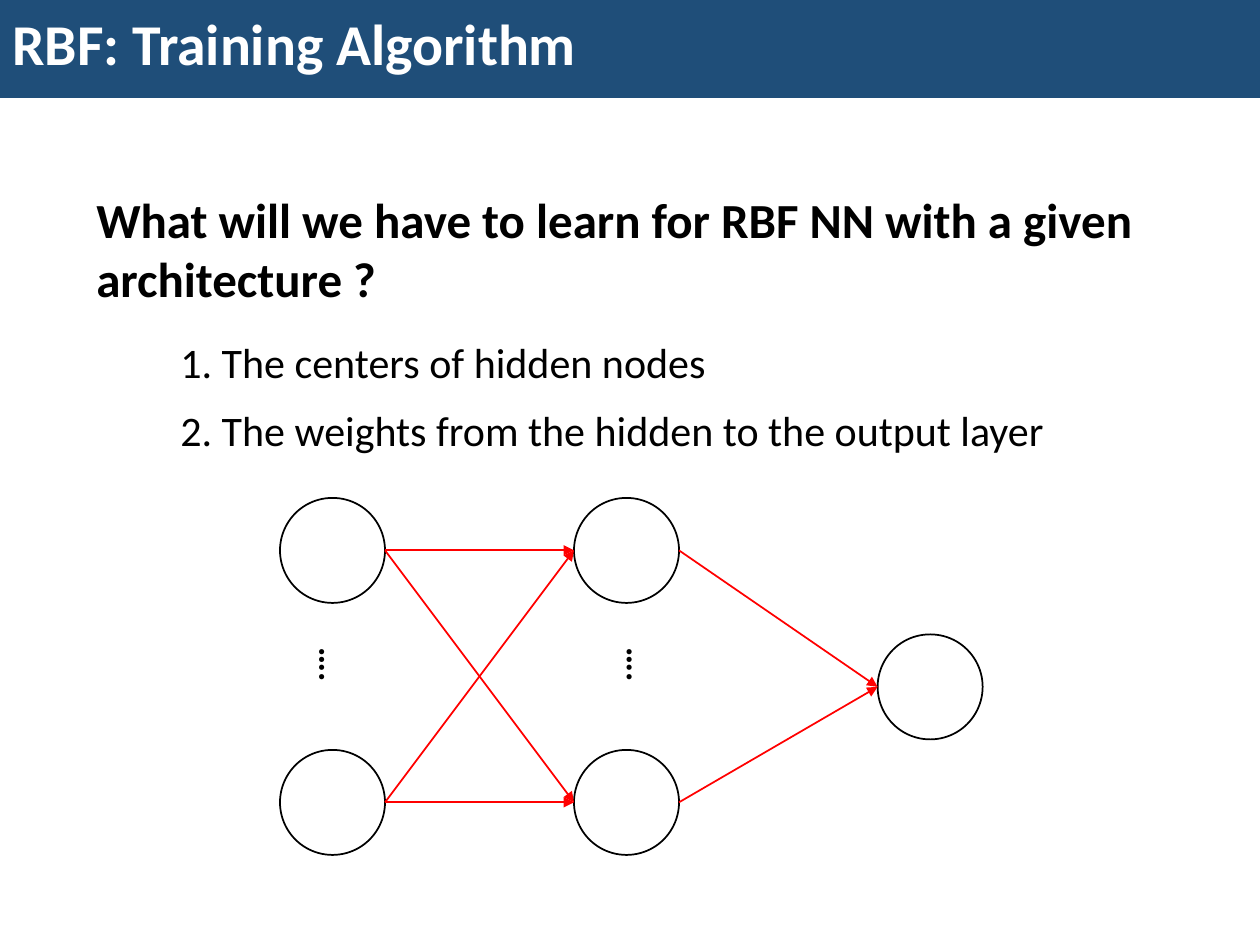
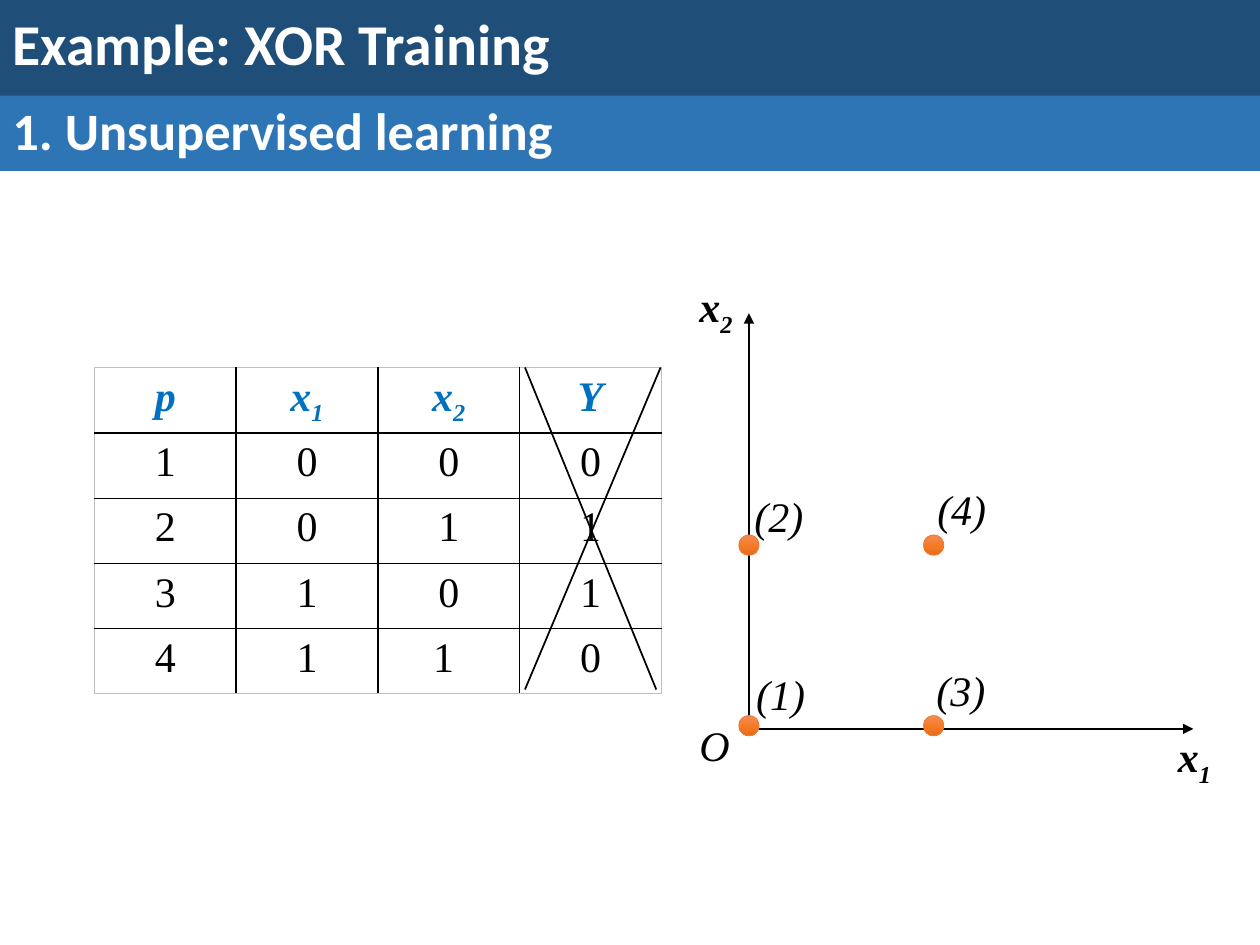
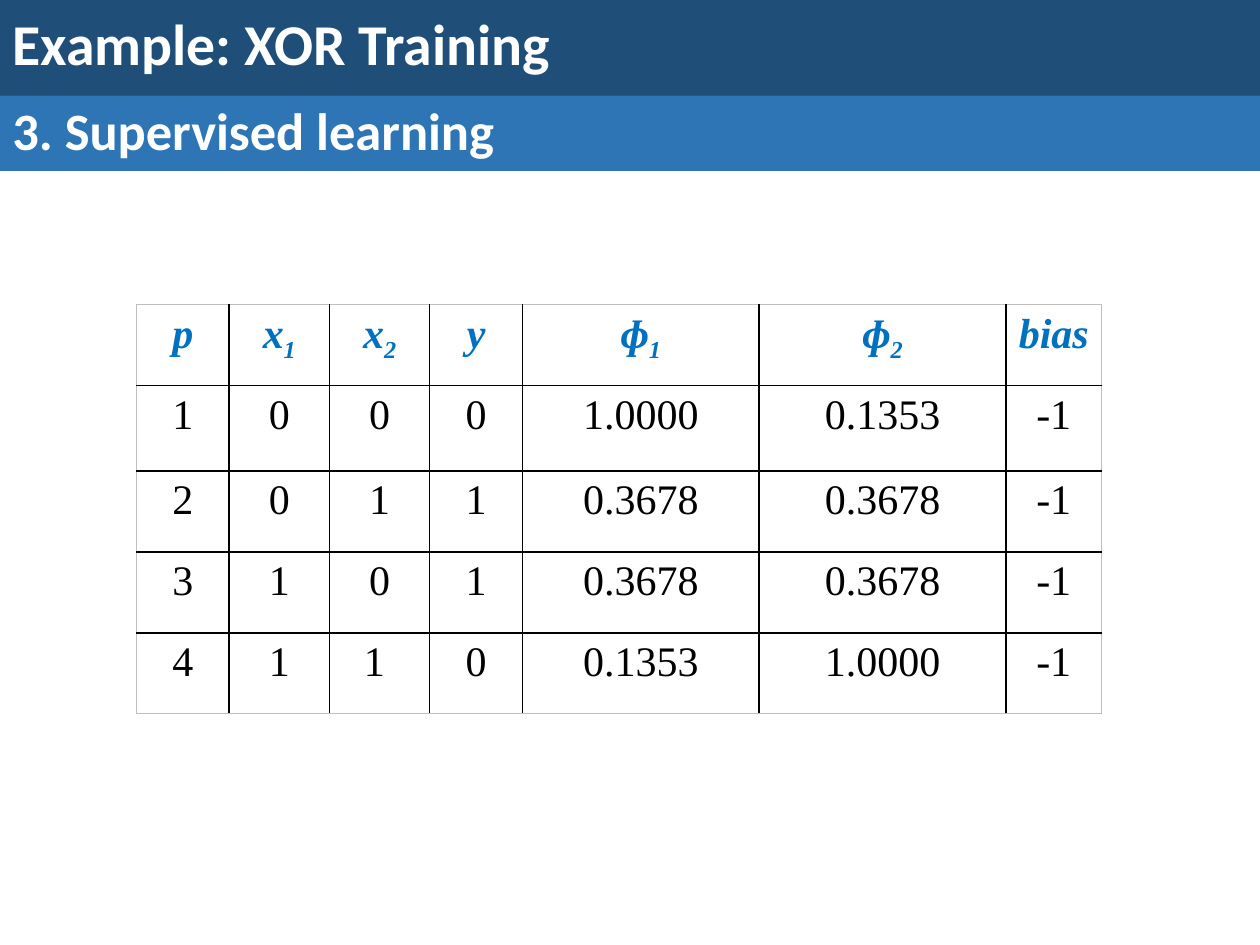
from copy import deepcopy
from itertools import product

from lxml import etree
from pptx import Presentation
from pptx.dml.color import RGBColor
from pptx.enum.shapes import MSO_CONNECTOR, MSO_SHAPE
from pptx.enum.text import MSO_ANCHOR, PP_ALIGN
from pptx.oxml.ns import qn
from pptx.util import Pt

RECTANGLE = MSO_SHAPE.RECTANGLE
OVAL = MSO_SHAPE.OVAL
STRAIGHT = MSO_CONNECTOR.STRAIGHT
MIDDLE = MSO_ANCHOR.MIDDLE
CENTER = PP_ALIGN.CENTER

SANS, SERIF = "Calibri", "Times New Roman"
BLACK, WHITE, RED = "000000", "FFFFFF", "FF0000"
NAVY, BLUE, HEADING_BLUE = "1F4E79", "2E75B6", "0070C0"
ORANGE, TABLE_EDGE = "ED7D31", "BFBFBF"
DOT_GRADIENT = ((0, "F18D59"), (0.5, "F67B28"), (1, "E56C19"))

SLIDE_WIDTH, SLIDE_HEIGHT = 720, 540
NODE_SIZE = 60
DOT_SIZE = 11.5


def color(hex_code):
    """Turn a hex string into a colour."""
    return RGBColor.from_string(hex_code)


def write_text(frame, text, size=24, font=SANS, fill=BLACK, bold=False,
               italic=False, align=None, spacing=None):
    """Write one paragraph; the part after an underscore is a subscript."""
    frame.word_wrap = True
    paragraph = frame.paragraphs[0]
    paragraph.alignment = align
    paragraph.line_spacing = spacing
    for index, part in enumerate(text.split("_")):
        run = paragraph.add_run()
        run.text = part
        run.font.size = Pt(size)
        run.font.name = font
        run.font.bold = bold
        run.font.italic = italic
        run.font.color.rgb = color(fill)
        if index:
            run.font._element.set("baseline", "-25000")


def add_label(slide, text, left, top, width=60, height=36, rotation=0, **style):
    """Add a text box."""
    box = slide.shapes.add_textbox(Pt(left), Pt(top), Pt(width), Pt(height))
    box.rotation = rotation
    write_text(box.text_frame, text, **style)


def add_band(slide, text, top, height, fill, size):
    """Add a full-width heading band."""
    band = slide.shapes.add_shape(RECTANGLE, 0, Pt(top), Pt(SLIDE_WIDTH), Pt(height))
    band.shadow.inherit = False
    band.fill.solid()
    band.fill.fore_color.rgb = color(fill)
    band.line.fill.background()
    band.text_frame.vertical_anchor = MIDDLE
    write_text(band.text_frame, text, size=size, fill=WHITE, bold=True,
               align=PP_ALIGN.LEFT, spacing=0.9)


def add_slide(presentation, title, subtitle=None):
    """Add a blank slide with its heading bands."""
    slide = presentation.slides.add_slide(presentation.slide_layouts[6])
    add_band(slide, title, -3, 59, NAVY, 33)
    if subtitle:
        add_band(slide, subtitle, 54.7, 43, BLUE, 30)
    return slide


def add_circle(slide, center_x, center_y, diameter, line, line_width):
    """Add an outlined circle around a center."""
    circle = slide.shapes.add_shape(OVAL, Pt(center_x - diameter / 2),
                                    Pt(center_y - diameter / 2),
                                    Pt(diameter), Pt(diameter))
    circle.shadow.inherit = False
    circle.line.color.rgb = color(line)
    circle.line.width = Pt(line_width)
    return circle


def add_node(slide, center_x, center_y):
    """Add a network node."""
    node = add_circle(slide, center_x, center_y, NODE_SIZE, BLACK, 1)
    node.fill.solid()
    node.fill.fore_color.rgb = color(WHITE)


def add_dot(slide, center_x, center_y):
    """Add a data point with a vertical gradient."""
    dot = add_circle(slide, center_x, center_y, DOT_SIZE, ORANGE, 0.5)
    dot.fill.gradient()
    dot.fill.gradient_angle = 270
    stop_list = dot._element.spPr.find(".//" + qn("a:gsLst"))
    stop_list.insert(1, deepcopy(stop_list[0]))
    for stop, (position, hex_code) in zip(dot.fill.gradient_stops, DOT_GRADIENT):
        stop.position = position
        stop.color.rgb = color(hex_code)


def add_line(slide, start, end, line=BLACK, arrow=False):
    """Add a straight line, with an arrowhead at its end if asked."""
    connector = slide.shapes.add_connector(STRAIGHT, *map(Pt, start + end))
    connector.line.color.rgb = color(line)
    connector.line.width = Pt(1)
    properties = connector._element.spPr
    if arrow:
        etree.SubElement(properties.find(qn("a:ln")), qn("a:tailEnd"), type="triangle")
    etree.SubElement(properties, qn("a:effectLst"))


def set_borders(cell, edges):
    """Draw cell borders, light on the sides that lie on the table edge."""
    properties = cell._tc.get_or_add_tcPr()
    for side, on_edge in zip("LRTB", edges):
        width = Pt(0.5) if on_edge else Pt(1)
        border = etree.SubElement(properties, qn(f"a:ln{side}"), w=str(width))
        fill = etree.SubElement(border, qn("a:solidFill"))
        etree.SubElement(fill, qn("a:srgbClr"), val=TABLE_EDGE if on_edge else BLACK)


def add_value_table(slide, left, top, column_widths, row_heights, rows):
    """Add a table with blue italic headings and centered values."""
    frame = slide.shapes.add_table(len(rows), len(column_widths), Pt(left), Pt(top),
                                   Pt(sum(column_widths)), Pt(sum(row_heights)))
    table = frame.table
    table.first_row = table.horz_banding = False
    for column, width in zip(table.columns, column_widths):
        column.width = Pt(width)
    for row, height in zip(table.rows, row_heights):
        row.height = Pt(height)
    last_row, last_column = len(rows) - 1, len(column_widths) - 1
    for row_index, values in enumerate(rows):
        heading = row_index == 0
        for column_index, value in enumerate(values):
            cell = table.cell(row_index, column_index)
            set_borders(cell, (column_index == 0, column_index == last_column,
                               heading, row_index == last_row))
            cell.fill.background()
            cell.margin_left = cell.margin_right = Pt(5)
            write_text(cell.text_frame, value, font=SERIF, bold=heading, italic=heading,
                       fill=HEADING_BLUE if heading else BLACK, align=CENTER)


def build_network_slide(presentation):
    """Build the slide on what the network has to learn."""
    slide = add_slide(presentation, "RBF: Training Algorithm")
    add_label(slide, "What will we have to learn for RBF NN with a given architecture ?",
              48, 105, 636, 75, size=28, bold=True)
    add_label(slide, "1. The centers of hidden nodes", 96, 188.5, 534)
    add_label(slide, "2. The weights from the hidden to the output layer", 96, 227.5, 570)

    input_x, hidden_x = 190, 358
    layer_y = (314.5, 458.5)
    output = (531.5, 392.5)
    radius = NODE_SIZE / 2
    for x, y in product((input_x, hidden_x), layer_y):
        add_node(slide, x, y)
    add_node(slide, *output)
    for start_y, end_y in product(layer_y, layer_y):
        add_line(slide, (input_x + radius, start_y), (hidden_x - radius, end_y), RED, True)
    for y in layer_y:
        add_line(slide, (hidden_x + radius, y), (output[0] - radius, output[1]), RED, True)
    for left in (166.3, 342):
        add_label(slide, "….", left, 371, 48, 31.5, rotation=90, size=20, bold=True)


def build_unsupervised_slide(presentation):
    """Build the slide with the inputs and their plot."""
    slide = add_slide(presentation, "Example: XOR Training", "1. Unsupervised learning")
    rows = (("p", "x_1", "x_2", "Y"),
            ("1", "0", "0", "0"),
            ("2", "0", "1", "1"),
            ("3", "1", "0", "1"),
            ("4", "1", "1 ", "0"))
    add_value_table(slide, 54, 210, [81] * 4, [37.2] * 5, rows)
    add_line(slide, (300, 210), (375, 394))
    add_line(slide, (377.5, 210), (300, 394))

    add_line(slide, (426, 416.5), (682, 416.5), arrow=True)
    add_line(slide, (428, 420), (428, 179), arrow=True)
    for x, y in product((428, 533.5), (414.7, 311.5)):
        add_dot(slide, x, y)
    for text, left, top in (("x_2", 392.5, 157), ("x_1", 666, 414)):
        add_label(slide, text, left, top, font=SERIF, bold=True, italic=True)
    for text, left, top in (("O", 392.5, 407.5), ("(1)", 425, 378.5), ("(2)", 424, 276.5),
                            ("(3)", 528, 376), ("(4)", 528.5, 272.5)):
        add_label(slide, text, left, top, font=SERIF, italic=True)


def build_supervised_slide(presentation):
    """Build the slide with the hidden layer values."""
    slide = add_slide(presentation, "Example: XOR Training", "3. Supervised learning")
    rows = (("p", "x_1", "x_2", "y", "ɸ_1", "ɸ_2", "bias"),
            ("1", "0", "0", "0", "1.0000", "0.1353", "-1"),
            ("2", "0", "1", "1", "0.3678", "0.3678", "-1"),
            ("3", "1", "0", "1", "0.3678", "0.3678", "-1"),
            ("4", "1", "1 ", "0", "0.1353", "1.0000", "-1"))
    add_value_table(slide, 78, 174, (53, 57.3, 57.3, 53, 135.3, 141, 54.6),
                    (46.3, 48.8, 46.3, 46.3, 46.3), rows)


def main():
    """Build and save the presentation."""
    presentation = Presentation()
    presentation.slide_width = Pt(SLIDE_WIDTH)
    presentation.slide_height = Pt(SLIDE_HEIGHT)
    build_network_slide(presentation)
    build_unsupervised_slide(presentation)
    build_supervised_slide(presentation)
    presentation.save("out.pptx")


if __name__ == "__main__":
    main()
